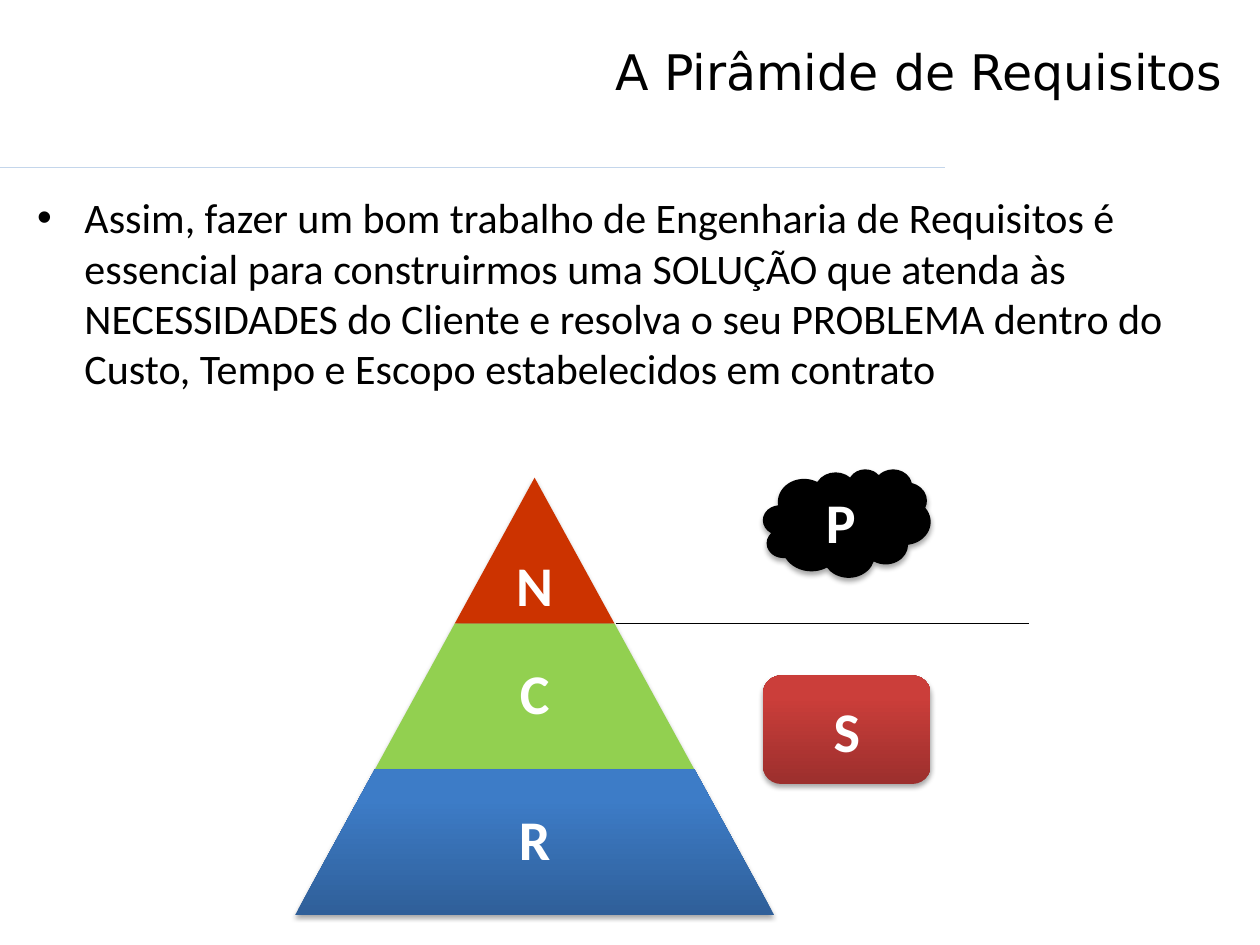
from lxml import etree
from pptx import Presentation
from pptx.dml.color import RGBColor
from pptx.enum.shapes import MSO_CONNECTOR, MSO_SHAPE
from pptx.enum.text import MSO_ANCHOR, PP_ALIGN
from pptx.oxml.ns import qn
from pptx.util import Pt

STRAIGHT = MSO_CONNECTOR.STRAIGHT
TRAP, CLOUD, ROUND = MSO_SHAPE.TRAPEZOID, MSO_SHAPE.CLOUD, MSO_SHAPE.ROUNDED_RECTANGLE
TOP, MIDDLE, BOTTOM = MSO_ANCHOR.TOP, MSO_ANCHOR.MIDDLE, MSO_ANCHOR.BOTTOM
LEFT, CENTER, RIGHT = PP_ALIGN.LEFT, PP_ALIGN.CENTER, PP_ALIGN.RIGHT

BLACK = RGBColor(0x00, 0x00, 0x00)
WHITE = RGBColor(0xFF, 0xFF, 0xFF)
PALE = RGBColor(0xC4, 0xD6, 0xEB)
ORANGE = RGBColor(0xCC, 0x33, 0x00)
GREEN = RGBColor(0x92, 0xD0, 0x50)
BLUES = RGBColor(0x2F, 0x5F, 0x99), RGBColor(0x3D, 0x7C, 0xC7)
REDS = RGBColor(0x9C, 0x2F, 0x2D), RGBColor(0xCB, 0x3E, 0x3A)

BODY = (
    "Assim, fazer um bom trabalho de Engenharia de Requisitos é essencial para "
    "construirmos uma SOLUÇÃO que atenda às NECESSIDADES do Cliente e resolva o "
    "seu PROBLEMA dentro do Custo, Tempo e Escopo estabelecidos em contrato"
)


def write(shape, text, size=32, font="Calibri", color=WHITE, bold=False,
          align=CENTER, anchor=MIDDLE, inset=None, spacing=None, bullet=None):
    """Fill a shape with one paragraph; bullet is the hanging indent in points."""
    frame = shape.text_frame
    frame.word_wrap = True
    frame.vertical_anchor = anchor
    if inset is not None:
        frame.margin_left = frame.margin_right = Pt(inset)
        frame.margin_top = frame.margin_bottom = Pt(inset)
    para = frame.paragraphs[0]
    para.alignment = align
    if spacing:
        para.line_spacing = spacing
    if bullet:
        props = para._p.get_or_add_pPr()
        props.set("marL", str(Pt(bullet)))
        props.set("indent", str(-Pt(bullet)))
        etree.SubElement(props, qn("a:buFont"), typeface="Arial")
        etree.SubElement(props, qn("a:buChar"), char="•")
    run = para.add_run()
    run.text = text
    run.font.size = Pt(size)
    run.font.name = font
    run.font.bold = bold
    run.font.color.rgb = color


def add_box(slide, box, text, **style):
    write(slide.shapes.add_textbox(*map(Pt, box)), text, **style)


def add_line(slide, left, right, y, color):
    line = slide.shapes.add_connector(STRAIGHT, Pt(left), Pt(y), Pt(right), Pt(y))
    line.line.color.rgb = color
    line.line.width = Pt(0.75)
    etree.SubElement(line._element.spPr, qn("a:effectLst"))


def add_form(slide, kind, box, paint):
    """Draw a shadowed shape; paint is a colour or a (bottom, top) pair."""
    shape = slide.shapes.add_shape(kind, *map(Pt, box))
    shape.line.fill.background()
    if isinstance(paint, RGBColor):
        shape.fill.solid()
        shape.fill.fore_color.rgb = paint
    else:
        shape.fill.gradient()
        shape.fill.gradient_angle = 90
        for stop, color, place in zip(shape.fill.gradient_stops, paint, (0, 0.8)):
            stop.color.rgb = color
            stop.position = place
    shape.shadow.inherit = False
    effects = shape._element.spPr.find(qn("a:effectLst"))
    shade = etree.SubElement(effects, qn("a:outerShdw"), blurRad=str(Pt(3.1)),
                             dist=str(Pt(1.8)), dir="5400000", rotWithShape="0")
    tone = etree.SubElement(shade, qn("a:srgbClr"), val="000000")
    etree.SubElement(tone, qn("a:alpha"), val="35000")
    return shape


def add_head(slide, box):
    left, top, width, height = box
    add_line(slide, 0, 540, top + height + 3, PALE)
    add_box(slide, box, "A Pirâmide de Requisitos", size=28, font="DejaVu Sans",
            color=BLACK, align=RIGHT, anchor=TOP)


def add_pyramid(slide, box):
    left, top, width, height = box
    levels = [("N", ORANGE, BOTTOM), ("C", GREEN, MIDDLE), ("R", BLUES, MIDDLE)]
    step, tier = width / len(levels), height / len(levels)
    for i, (text, paint, anchor) in enumerate(levels):
        span = step * (i + 1)
        part = left + (width - span) / 2, top + i * tier, span, tier
        shape = add_form(slide, TRAP, part, paint)
        shape.adjustments[0] = step / 2 / tier
        add_box(slide, part, text, bold=True, anchor=anchor, inset=3, spacing=0.9)


def add_sides(slide, box):
    """Place the problem above and the solution below a dividing line."""
    left, top, width, height = box
    high = 62
    marks = [("P", CLOUD, BLACK, top), ("S", ROUND, REDS, top + height - high)]
    for text, kind, paint, y in marks:
        shape = add_form(slide, kind, (left, y, width, high), paint)
        write(shape, text, bold=True)
    add_line(slide, left - 84, left + width + 56, top + 88.4, BLACK)


def main():
    deck = Presentation()
    deck.slide_width, deck.slide_height = Pt(720), Pt(540)
    slide = deck.slides.add_slide(deck.slide_layouts[6])
    add_head(slide, (13, 20, 692.5, 72.75))
    add_box(slide, (14.2, 106, 692, 374), BODY, size=24, color=BLACK,
            align=LEFT, anchor=TOP, bullet=27)
    add_pyramid(slide, (168.6, 273, 273.8, 250))
    add_sides(slide, (436, 268, 95.8, 180))
    deck.save("out.pptx")


if __name__ == "__main__":
    main()
